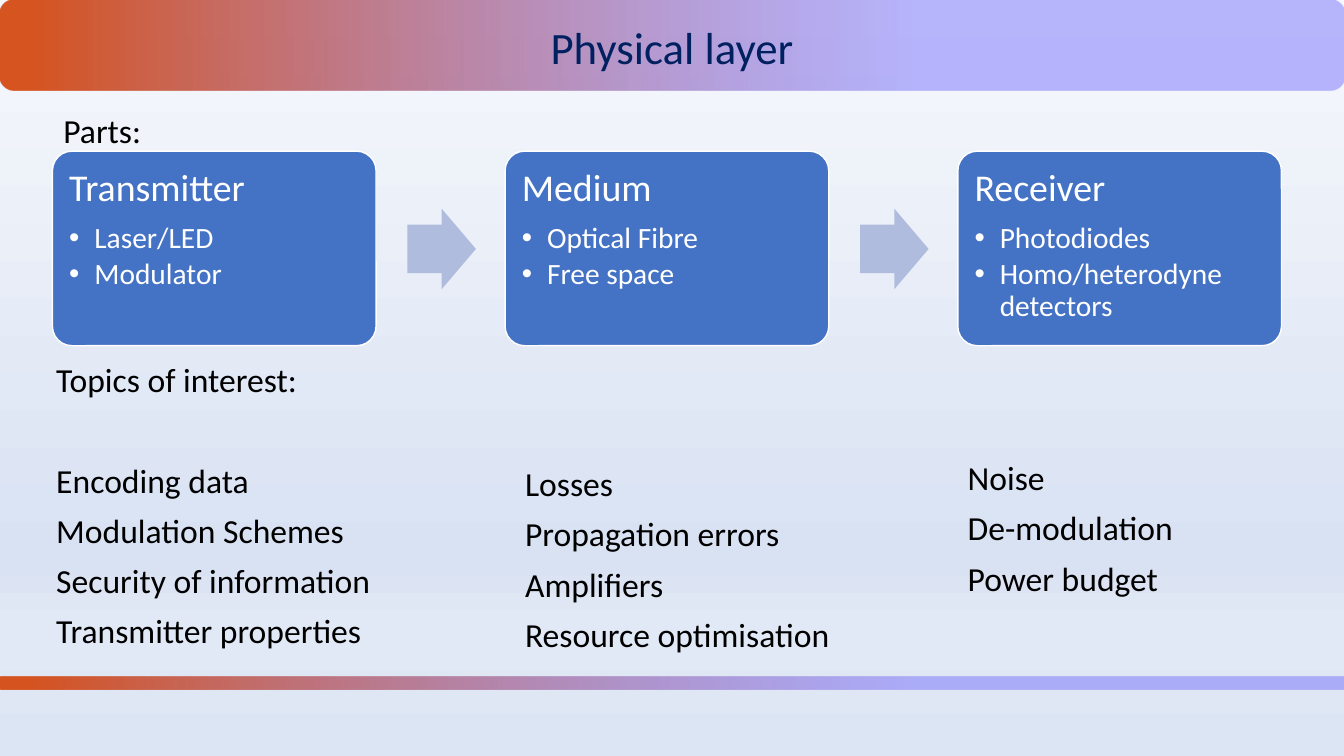
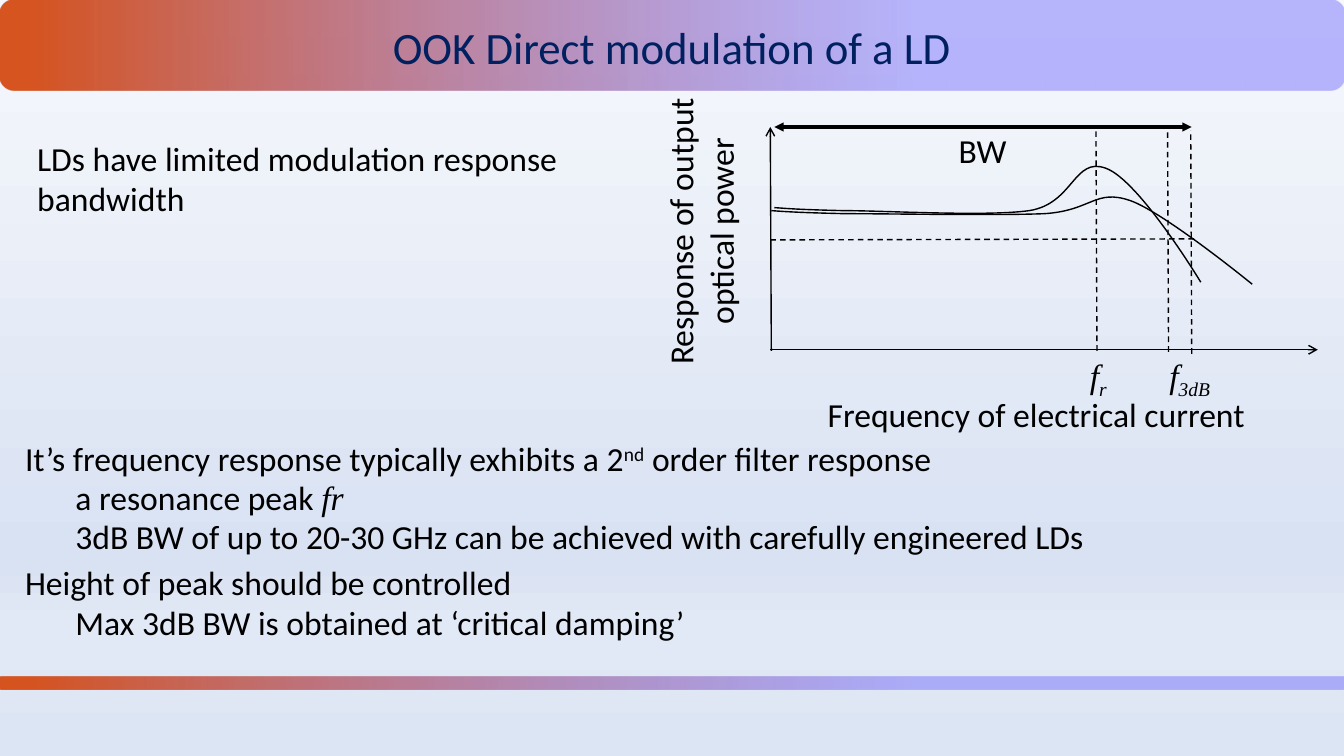
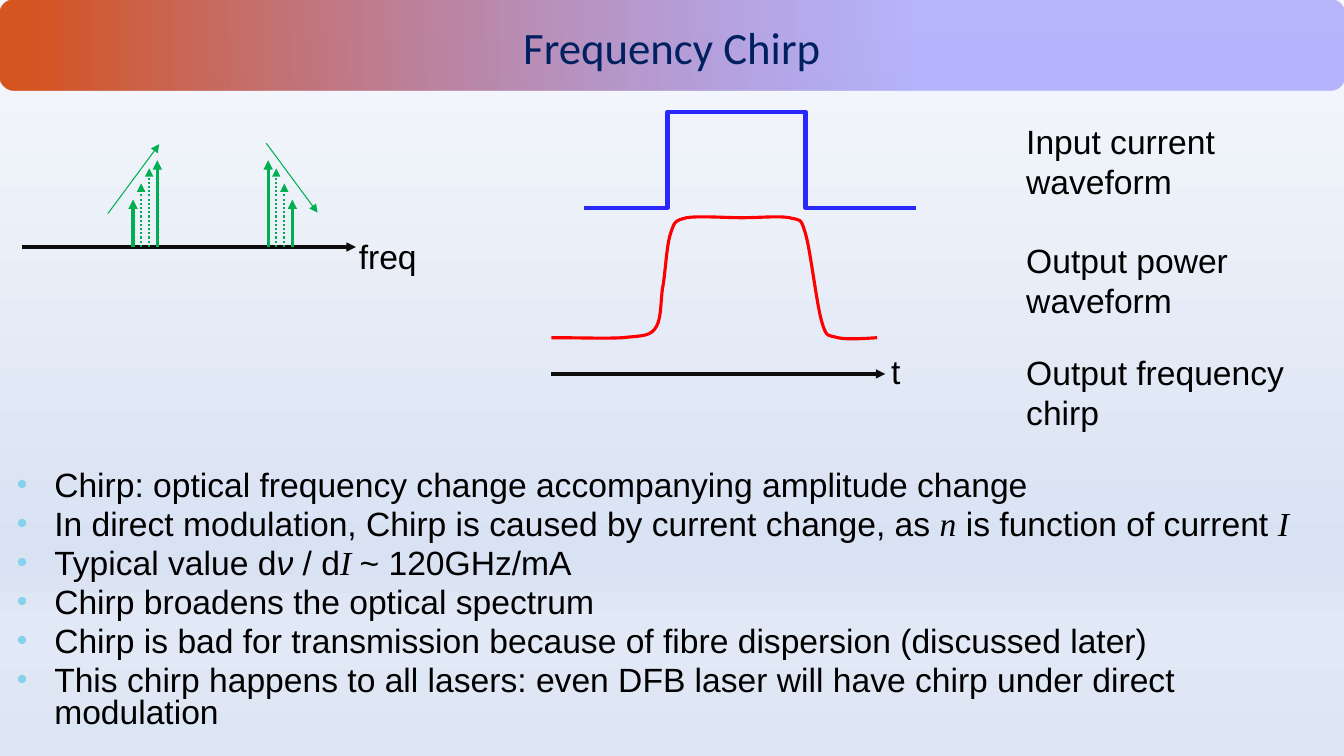
"""Three lecture slides on the optical physical layer, laser modulation and chirp."""
from lxml import etree
from pptx import Presentation
from pptx.dml.color import RGBColor
from pptx.enum import dml, shapes, text
from pptx.oxml.ns import qn
from pptx.util import Inches, Pt

COLOR = {
    "black": "000000", "white": "FFFFFF", "title": "002060", "box": "4472C4",
    "arrow": "B0BCDE", "bullet": "86D1EC", "green": "00B050", "red": "FF0000",
    "blue": "2929FF", "axis": "0D0D0D",
}
BACKGROUND = [(0, "F6F8FC", 100), (74, "D9E2F3", 100), (83, "E2E9F6", 100), (100, "DCE5F4", 47)]
BAND = [(2, "D65420", 100), (68, "7B75FB", 51)]
TOP_BAND, BOTTOM_BAND = (0, 0, 13.33, 0.9), (0, 6.71, 13.33, 0.13)

PARAGRAPH = {
    "title": dict(size=32, color="title", line=0.9, align=text.PP_ALIGN.CENTER),
    "topic": dict(line=0.9, before=10),
    "first topic": dict(line=0.9, before=45.7),
    "box head": dict(size=27, color="white", line=0.9, after=9.45),
    "box item": dict(size=21, color="white", line=0.9, after=3.15, left=0.25, hang=0.25, bullet="white"),
    "point": dict(line=0.8, before=10),
    "subpoint": dict(line=0.8, before=5, left=0.5),
    "label": dict(),
    "centred": dict(align=text.PP_ALIGN.CENTER),
    "arial": dict(font="Arial"),
    "chirp": dict(font="Arial", line=0.8, before=4.8, left=0.37, hang=0.37, bullet="bullet", bullet_size=90),
}
MATH = dict(font="Times New Roman", italic=True)
MATH_SUB = dict(MATH, baseline=-25)
ITALIC = dict(italic=True)
SUPER = dict(baseline=30)

PARTS = [
    ("Transmitter", ["Laser/LED", "Modulator"]),
    ("Medium", ["Optical Fibre", "Free space"]),
    ("Receiver", ["Photodiodes", "Homo/heterodyne detectors"]),
]
TOPICS = [
    ((0.46, 3.56, 3.4, 3), [
        ("topic", "Topics of interest:"), ("first topic", "Encoding data"),
        ("topic", "Modulation Schemes"), ("topic", "Security of information"),
        ("topic", "Transmitter properties")]),
    ((5.11, 4.59, 3.4, 2), [
        ("topic", "Losses"), ("topic", "Propagation errors"),
        ("topic", "Amplifiers"), ("topic", "Resource optimisation")]),
    ((9.5, 4.53, 3.4, 2), [
        ("topic", "Noise"), ("topic", "De-modulation"), ("topic", "Power budget")]),
]

MODULATION_POINTS = [
    ("point", [("It’s frequency response typically exhibits a 2", {}), ("nd", SUPER),
               (" order filter response", {})]),
    ("subpoint", [("a resonance peak ", {}), ("fr", MATH)]),
    ("subpoint", "3dB BW of up to 20-30 GHz can be achieved with carefully engineered LDs"),
    ("point", "Height of peak should be controlled"),
    ("subpoint", "Max 3dB BW is obtained at ‘critical damping’"),
]
RESPONSE_LABELS = [
    ((0.27, 1.32, 5.61, 0.91), "LDs have limited modulation response bandwidth"),
    ((8.11, 3.86, 4.38, 0.5), "Frequency of electrical current"),
    ((9.41, 1.24, 0.68, 0.5), "BW"),
    ((10.71, 3.47, 0.38, 0.5), [("f", MATH), ("r", MATH_SUB)]),
    ((11.5, 3.47, 0.66, 0.5), [("f", MATH), ("3dB", MATH_SUB)]),
]
RESPONSE_AXES = [((7.64, 3.47), (13.07, 3.47)), ((7.65, 3.48), (7.64, 1.26))]
RESPONSE_GUIDES = [
    ((10.88, 3.48), (10.87, 1.26)), ((7.64, 2.38), (11.88, 2.37)),
    ((11.59, 3.49), (11.58, 1.28)), ((11.82, 3.51), (11.81, 1.29)),
]
DAMPED_CURVE = [
    (7.65, 2.09), (7.79, 2.1), (7.93, 2.11), (8.38, 2.12), (8.83, 2.12), (9.88, 2.14),
    (10.36, 2.12), (10.83, 2.09), (10.86, 1.87), (11.21, 1.99), (11.55, 2.11),
    (12.42, 2.82), (12.42, 2.82)]
PEAKED_CURVE = [
    (7.68, 2.06), (7.81, 2.07), (7.94, 2.08), (8.36, 2.09), (8.78, 2.09), (9.78, 2.15),
    (10.21, 2.09), (10.65, 2.02), (10.65, 1.55), (10.97, 1.67), (11.3, 1.79),
    (11.91, 2.8), (11.91, 2.8)]

CHIRP_POINTS = [
    "Chirp: optical frequency change accompanying amplitude change",
    [("In direct modulation, Chirp is caused by current change, as ", {}), ("n", MATH),
     (" is function of current ", {}), ("I", MATH)],
    [("Typical value d", {}), ("ν ", ITALIC), ("/ d", {}), ("I ", MATH), ("~ 120GHz/mA", {})],
    "Chirp broadens the optical spectrum",
    "Chirp is bad for transmission because of fibre dispersion (discussed later)",
    "This chirp happens to all lasers: even DFB laser will have chirp under direct modulation",
]
CHIRP_LABELS = [
    ((10.08, 1.15, 3.04, 0.91), "Input current waveform"),
    ((10.08, 2.33, 3.15, 0.91), "Output power waveform"),
    ((10.08, 3.44, 3.01, 0.91), "Output frequency chirp"),
    ((3.46, 2.29, 1.18, 0.5), "freq"),
    ((8.74, 3.43, 1.18, 0.5), "t"),
]
INPUT_PULSE = [(5.79, 2.06), (6.62, 2.06), (6.62, 1.11), (7.99, 1.11), (7.99, 2.06), (9.09, 2.06)]
OUTPUT_PULSE = [
    (5.47, 3.35), (5.74, 3.35), (6.01, 3.36), (6.18, 3.35), (6.35, 3.33), (6.43, 3.34),
    (6.49, 3.27), (6.56, 3.19), (6.55, 3.03), (6.57, 2.87), (6.6, 2.72), (6.61, 2.44),
    (6.65, 2.32), (6.69, 2.2), (6.69, 2.19), (6.81, 2.16), (6.93, 2.14), (7.19, 2.16),
    (7.36, 2.16), (7.53, 2.16), (7.73, 2.14), (7.83, 2.16), (7.94, 2.19), (7.94, 2.15),
    (7.99, 2.32), (8.04, 2.49), (8.1, 3.02), (8.15, 3.19), (8.2, 3.36), (8.21, 3.32),
    (8.31, 3.35), (8.4, 3.37), (8.55, 3.36), (8.7, 3.35)]
CHIRP_AXES = [((0.22, 2.45), (3.53, 2.45)), ((5.47, 3.71), (8.78, 3.71))]
CHIRP_TRENDS = [((1.07, 2.12), (1.58, 1.43)), ((2.64, 1.42), (3.15, 2.11))]
SPECTRUM_BASE, SPECTRUM_TOPS = 2.45, [1.98, 1.82, 1.67, 1.59]
SPECTRA = [(1.32, 0.08), (2.9, -0.08)]


def rgb(name):
    return RGBColor.from_string(COLOR[name])


def set_gradient(fill, root, stops, angle):
    fill.gradient()
    fill.gradient_angle = angle
    stop_list = next(root.iter(qn("a:gsLst")))
    for old in list(stop_list):
        stop_list.remove(old)
    for position, value, alpha in stops:
        stop = etree.SubElement(stop_list, qn("a:gs"), pos=str(position * 1000))
        color = etree.SubElement(stop, qn("a:srgbClr"), val=value)
        if alpha < 100:
            etree.SubElement(color, qn("a:alpha"), val=str(alpha * 1000))


def add_bullet(p, color, size):
    pPr = p._p.get_or_add_pPr()
    holder = etree.SubElement(pPr, qn("a:buClr"))
    etree.SubElement(holder, qn("a:srgbClr"), val=COLOR[color])
    etree.SubElement(pPr, qn("a:buSzPct"), val=str(size * 1000))
    etree.SubElement(pPr, qn("a:buFont"), typeface="Arial")
    etree.SubElement(pPr, qn("a:buChar"), char="•")


def write(tf, paragraphs, wrap=True):
    tf.word_wrap = wrap
    tf.vertical_anchor = text.MSO_ANCHOR.TOP
    for i, (kind, runs) in enumerate(paragraphs):
        look = PARAGRAPH[kind]
        p = tf.add_paragraph() if i else tf.paragraphs[0]
        p.alignment = look.get("align", text.PP_ALIGN.LEFT)
        p.line_spacing = look.get("line", 1.0)
        p.space_before = Pt(look.get("before", 0) if i else 0)
        p.space_after = Pt(look.get("after", 0))
        pPr = p._p.get_or_add_pPr()
        pPr.set("marL", str(Inches(look.get("left", 0))))
        pPr.set("indent", str(-Inches(look.get("hang", 0))))
        if "bullet" in look:
            add_bullet(p, look["bullet"], look.get("bullet_size", 100))
        for words, style in [(runs, {})] if isinstance(runs, str) else runs:
            r = p.add_run()
            r.text = words
            r.font.name = style.get("font", look.get("font", "Calibri"))
            r.font.size = Pt(look.get("size", 24))
            r.font.italic = style.get("italic", False)
            r.font.color.rgb = rgb(look.get("color", "black"))
            if "baseline" in style:
                r._r.get_or_add_rPr().set("baseline", str(style["baseline"] * 1000))


def add_text(s, at, paragraphs, wrap=True):
    box = s.shapes.add_textbox(*map(Inches, at))
    write(box.text_frame, paragraphs, wrap)
    return box


def add_shape(s, kind, at, *adjustments):
    sp = s.shapes.add_shape(kind, *map(Inches, at))
    sp.shadow.inherit = False
    sp.line.fill.background()
    for i, value in enumerate(adjustments):
        sp.adjustments[i] = value
    return sp


def add_line(s, start, end, color="black", width=1, dash=None, head=None, tail=None):
    line = s.shapes.add_connector(shapes.MSO_CONNECTOR.STRAIGHT, *map(Inches, start + end))
    etree.SubElement(line._element.spPr, qn("a:effectLst"))
    line.line.color.rgb = rgb(color)
    line.line.width = Pt(width)
    if dash:
        line.line.dash_style = dash
    ln = line.line._get_or_add_ln()
    for tag, arrowhead in (("a:headEnd", head), ("a:tailEnd", tail)):
        if arrowhead:
            etree.SubElement(ln, qn(tag), type=arrowhead)


def add_outline(s, points, color, width):
    points = [(Inches(x), Inches(y)) for x, y in points]
    builder = s.shapes.build_freeform(*points[0])
    builder.add_line_segments(points[1:], close=False)
    sp = builder.convert_to_shape()
    sp.shadow.inherit = False
    sp.fill.background()
    sp.line.color.rgb = rgb(color)
    sp.line.width = Pt(width)
    return sp


def add_curve(s, points, color, width):
    """Draw joined cubic curves: a start, then two handles and an end for each."""
    sp = add_outline(s, points[::3], color, width)
    for i, segment in enumerate(list(sp._element.iter(qn("a:lnTo")))):
        segment.tag = qn("a:cubicBezTo")
        for x, y in reversed(points[3 * i + 1:3 * i + 3]):
            handle = etree.Element(qn("a:pt"), x=str(Inches(x) - sp.left), y=str(Inches(y) - sp.top))
            segment.insert(0, handle)


def new_slide(prs, title, bands):
    s = prs.slides.add_slide(prs.slide_layouts[6])
    set_gradient(s.background.fill, s._element, BACKGROUND, 270)
    for at in bands:
        band = add_shape(s, shapes.MSO_SHAPE.ROUNDED_RECTANGLE, at)
        set_gradient(band.fill, band._element, BAND, 0)
    add_text(s, (0, 0.21, 13.33, 0.46), [("title", title)])
    return s


def physical_layer(prs):
    s = new_slide(prs, "Physical layer", [TOP_BAND, BOTTOM_BAND])
    add_text(s, (0.53, 1.09, 12.3, 5.54), [("topic", "Parts:")])
    for i, (head, items) in enumerate(PARTS):
        left = 0.52 + 4.49 * i
        box = add_shape(s, shapes.MSO_SHAPE.ROUNDED_RECTANGLE, (left, 1.5, 3.21, 1.93), 0.1)
        box.fill.solid()
        box.fill.fore_color.rgb = rgb("box")
        box.line.color.rgb = rgb("white")
        box.line.width = Pt(1)
        tf = box.text_frame
        tf.margin_left = tf.margin_right = tf.margin_bottom = Inches(0.11)
        tf.margin_top = Inches(0.12)
        write(tf, [("box head", head)] + [("box item", item) for item in items])
        if i < len(PARTS) - 1:
            arrow = add_shape(s, shapes.MSO_SHAPE.RIGHT_ARROW, (left + 3.52, 2.07, 0.68, 0.8), 0.6, 0.5)
            arrow.fill.solid()
            arrow.fill.fore_color.rgb = rgb("arrow")
    for at, paragraphs in TOPICS:
        add_text(s, at, paragraphs)


def direct_modulation(prs):
    s = new_slide(prs, "OOK Direct modulation of a LD", [TOP_BAND, BOTTOM_BAND])
    add_text(s, (0.15, 4.37, 13.16, 2.2), MODULATION_POINTS)
    for start, end in RESPONSE_AXES:
        add_line(s, start, end, tail="arrow")
    for start, end in RESPONSE_GUIDES:
        add_line(s, start, end, dash=dml.MSO_LINE.DASH)
    add_line(s, (11.82, 1.26), (7.68, 1.26), width=2.25, head="triangle", tail="triangle")
    for curve in (DAMPED_CURVE, PEAKED_CURVE):
        add_curve(s, curve, "black", 1)
    for at, words in RESPONSE_LABELS:
        add_text(s, at, [("label", words)], wrap=at[3] > 0.5)
    axis_label = add_text(s, (5.49, 1.84, 2.92, 0.91), [("centred", "Response of output optical power")])
    axis_label.rotation = 270


def frequency_chirp(prs):
    s = new_slide(prs, "Frequency Chirp", [TOP_BAND])
    add_text(s, (0.07, 4.63, 13.2, 2.77), [("chirp", words) for words in CHIRP_POINTS])
    add_curve(s, OUTPUT_PULSE, "red", 2.25)
    add_outline(s, INPUT_PULSE, "blue", 3)
    for start, end in CHIRP_AXES:
        add_line(s, start, end, "axis", 2.25, tail="triangle")
    for first, step in SPECTRA:
        for i, top in enumerate(SPECTRUM_TOPS):
            x = first + step * i
            outer = i in (0, len(SPECTRUM_TOPS) - 1)
            add_line(s, (x, SPECTRUM_BASE), (x, top), "green", 2.25 if outer else 1.5,
                     None if outer else dml.MSO_LINE.ROUND_DOT, tail="triangle")
    for start, end in CHIRP_TRENDS:
        add_line(s, start, end, "green", 0.75, tail="triangle")
    for at, words in CHIRP_LABELS:
        add_text(s, at, [("arial", words)])


def main():
    prs = Presentation()
    prs.slide_width, prs.slide_height = Inches(13.33), Inches(7.5)
    for build in (physical_layer, direct_modulation, frequency_chirp):
        build(prs)
    prs.save("out.pptx")


if __name__ == "__main__":
    main()
